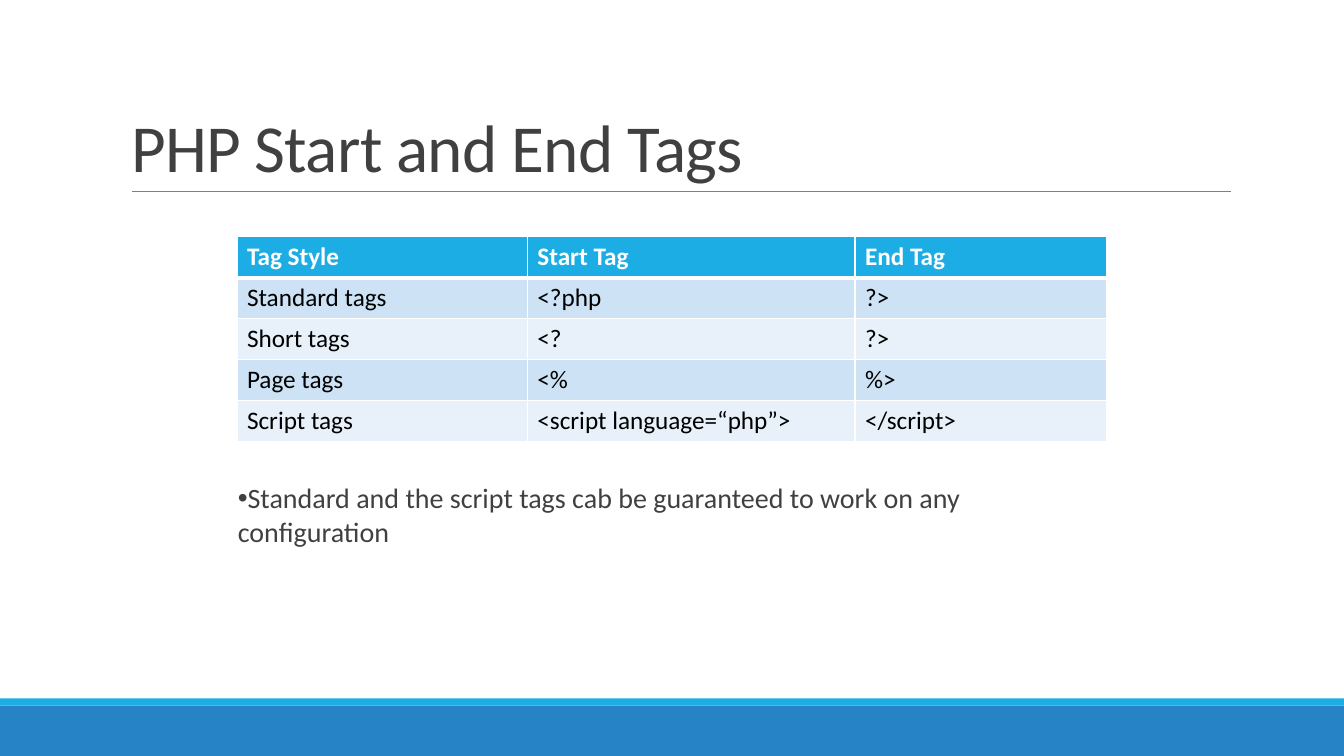
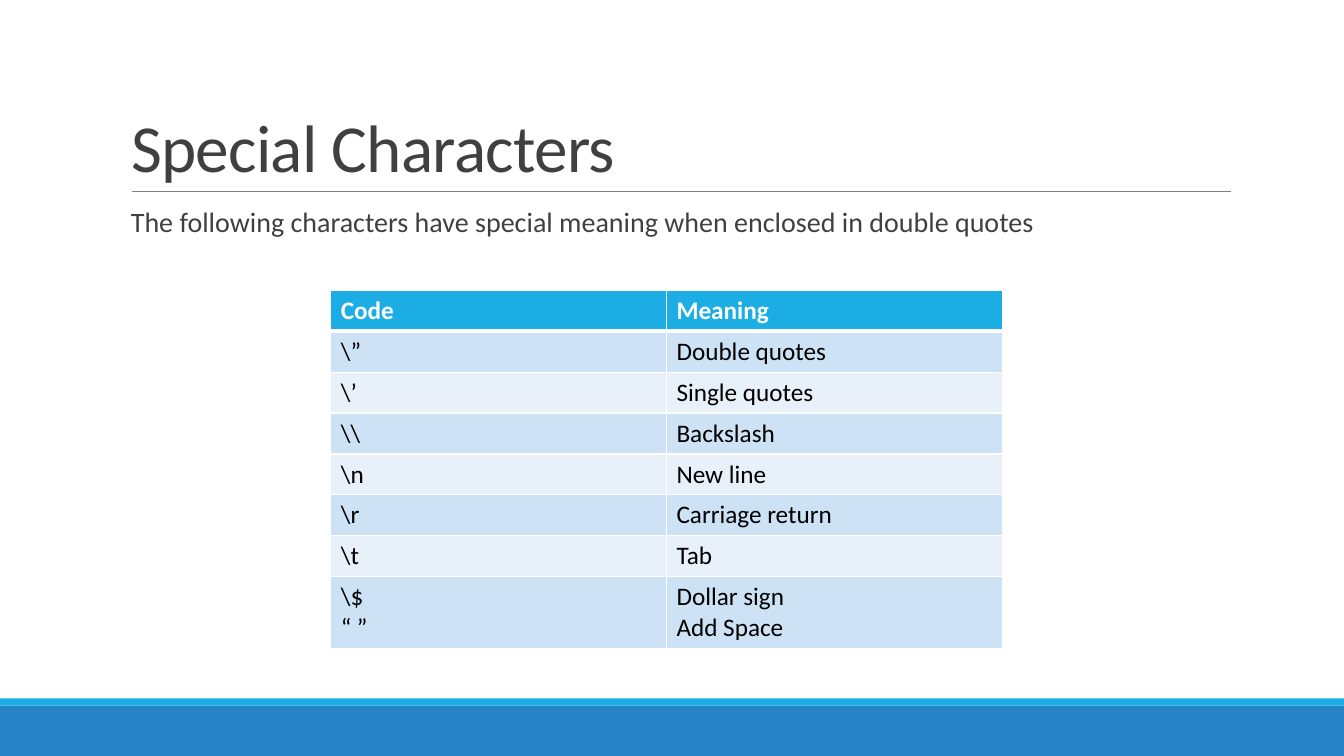
"""Build two slides on PHP tags and special characters."""
from dataclasses import dataclass

from lxml import etree
from pptx import Presentation
from pptx.dml.color import RGBColor
from pptx.enum.shapes import MSO_CONNECTOR, MSO_SHAPE
from pptx.enum.text import MSO_ANCHOR, MSO_AUTO_SIZE, PP_ALIGN
from pptx.oxml.ns import qn
from pptx.presentation import Presentation as Deck
from pptx.slide import Slide
from pptx.table import _Cell as Cell
from pptx.text.text import TextFrame
from pptx.util import Inches, Pt

RECT = MSO_SHAPE.RECTANGLE
STRAIGHT = MSO_CONNECTOR.STRAIGHT
LEFT = PP_ALIGN.LEFT
TOP, BOTTOM = MSO_ANCHOR.TOP, MSO_ANCHOR.BOTTOM
NO_FIT = MSO_AUTO_SIZE.NONE

FONT = "Calibri"
WHITE, BLACK, INK, GREY = "FFFFFF", "000000", "404040", "808080"
BLUE, CYAN = "2683C6", "1CADE4"
STRIPES = ("CDE3F5", "E8F1FA")
ROW = Inches(2.03) // 5
EXTRA = Inches(0.3)

Box = tuple[float, float, float, float]


@dataclass(frozen=True)
class Band:
    top: float
    height: float
    color: str


@dataclass(frozen=True)
class Grid:
    left: float
    top: float
    widths: tuple[float, ...]
    rows: tuple[tuple[str, ...], ...]


@dataclass(frozen=True)
class Note:
    box: Box
    text: str
    bullet: str = ""
    line: float = 1.0


@dataclass(frozen=True)
class Page:
    title: str
    grid: Grid
    note: Note


BANDS = (Band(7, 0.5, BLUE), Band(6.93, 0.07, CYAN))
TITLE: Box = (1.2, 0.31, 11, 1.59)

TAGS = Page(
    "PHP Start and End Tags",
    Grid(2.35, 2.35, (2.88, 3.25, 2.5), (
        ("Tag Style", "Start Tag", "End Tag"),
        ("Standard tags", "<?php", "?>"),
        ("Short tags", "<?", "?>"),
        ("Page tags", "<%", "%>"),
        ("Script tags", "<script language=“php”>", "</script>"),
    )),
    Note((2.26, 4.72, 8.82, 0.77),
         "Standard and the script tags cab be guaranteed to work on any "
         "configuration", bullet="•"),
)
CHARS = Page(
    "Special Characters",
    Grid(3.28, 2.88, (3.33, 3.33), (
        ("Code", "Meaning"),
        ("\\”", "Double quotes"),
        ("\\’", "Single quotes"),
        ("\\\\", "Backslash"),
        ("\\n", "New line"),
        ("\\r", "Carriage return"),
        ("\\t", "Tab"),
        ("\\$\n“ ”", "Dollar sign\nAdd Space"),
    )),
    Note((1.2, 2.02, 11, 0.5),
         "The following characters have special meaning when enclosed in "
         "double quotes", line=0.9),
)


def paint(code: str) -> RGBColor:
    return RGBColor.from_string(code)


def write(frame: TextFrame, text: str, *, size: float, color: str,
          bold: bool = False, line: float = 1.0, track: int = 0,
          bullet: str = "") -> None:
    for i, part in enumerate(text.split("\n")):
        para = frame.add_paragraph() if i else frame.paragraphs[0]
        para.alignment = LEFT
        para.line_spacing = line
        if bullet:
            props = para._p.get_or_add_pPr()
            etree.SubElement(props, qn("a:buFont"), typeface="Arial")
            etree.SubElement(props, qn("a:buChar"), char=bullet)
        run = para.add_run()
        run.text = part
        font = run.font
        font.name, font.size, font.bold = FONT, Pt(size), bold
        font.color.rgb = paint(color)
        if track:
            run._r.get_or_add_rPr().set("spc", str(track))


def edge(cell: Cell, side: str, width: float) -> None:
    line = etree.SubElement(cell._tc.get_or_add_tcPr(), qn(f"a:ln{side}"),
                            w=str(Pt(width)))
    fill = etree.SubElement(line, qn("a:solidFill"))
    etree.SubElement(fill, qn("a:srgbClr"), val=WHITE)


def frame_page(slide: Slide, text: str) -> None:
    for band in BANDS:
        shape = slide.shapes.add_shape(
            RECT, 0, Inches(band.top), Inches(13.33), Inches(band.height))
        shape.shadow.inherit = False
        shape.fill.solid()
        shape.fill.fore_color.rgb = paint(band.color)
        shape.line.fill.background()
    rule = slide.shapes.add_connector(
        STRAIGHT, Inches(1.31), Inches(1.9), Inches(12.21), Inches(1.9))
    rule.line.color.rgb = paint(GREY)
    rule.line.width = Pt(0.5)
    etree.SubElement(rule._element.spPr, qn("a:effectLst"))
    title = slide.shapes.title
    title.left, title.top, title.width, title.height = map(Inches, TITLE)
    frame = title.text_frame
    frame.auto_size = NO_FIT
    frame.vertical_anchor = BOTTOM
    write(frame, text, size=48, color=INK, line=0.85, track=-50)


def add_grid(slide: Slide, grid: Grid) -> None:
    table = slide.shapes.add_table(
        len(grid.rows), len(grid.widths), Inches(grid.left), Inches(grid.top),
        Inches(sum(grid.widths)), ROW * len(grid.rows)).table
    table.horz_banding = False
    for col, width in zip(table.columns, grid.widths):
        col.width = Inches(width)
    for r, texts in enumerate(grid.rows):
        head = r == 0
        table.rows[r].height = ROW + EXTRA * texts[0].count("\n")
        for c, text in enumerate(texts):
            cell = table.cell(r, c)
            widths = {"L": 1, "R": 1, "T": 3 if r == 1 else 1,
                      "B": 3 if head else 1}
            for side, width in widths.items():
                edge(cell, side, width)
            cell.fill.solid()
            cell.fill.fore_color.rgb = paint(
                CYAN if head else STRIPES[(r - 1) % 2])
            write(cell.text_frame, text, size=18, bold=head,
                  color=WHITE if head else BLACK)


def add_note(slide: Slide, note: Note) -> None:
    frame = slide.shapes.add_textbox(*map(Inches, note.box)).text_frame
    frame.word_wrap = True
    frame.vertical_anchor = TOP
    write(frame, note.text, size=20, color=INK, line=note.line,
          bullet=note.bullet)


def add_page(deck: Deck, page: Page) -> None:
    slide = deck.slides.add_slide(deck.slide_layouts.get_by_name("Title Only"))
    frame_page(slide, page.title)
    add_grid(slide, page.grid)
    add_note(slide, page.note)


def main() -> None:
    deck = Presentation()
    deck.slide_width, deck.slide_height = Inches(13.33), Inches(7.5)
    for page in (TAGS, CHARS):
        add_page(deck, page)
    deck.save("out.pptx")


main()
